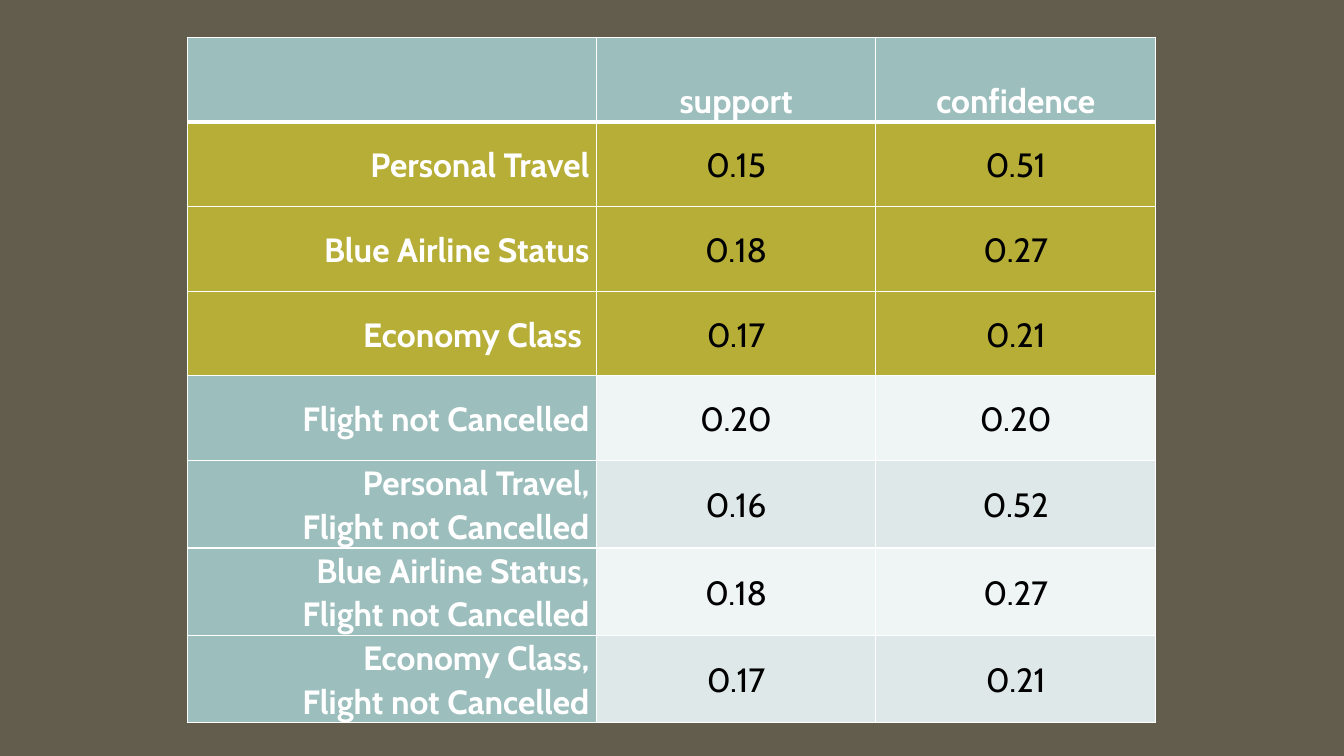
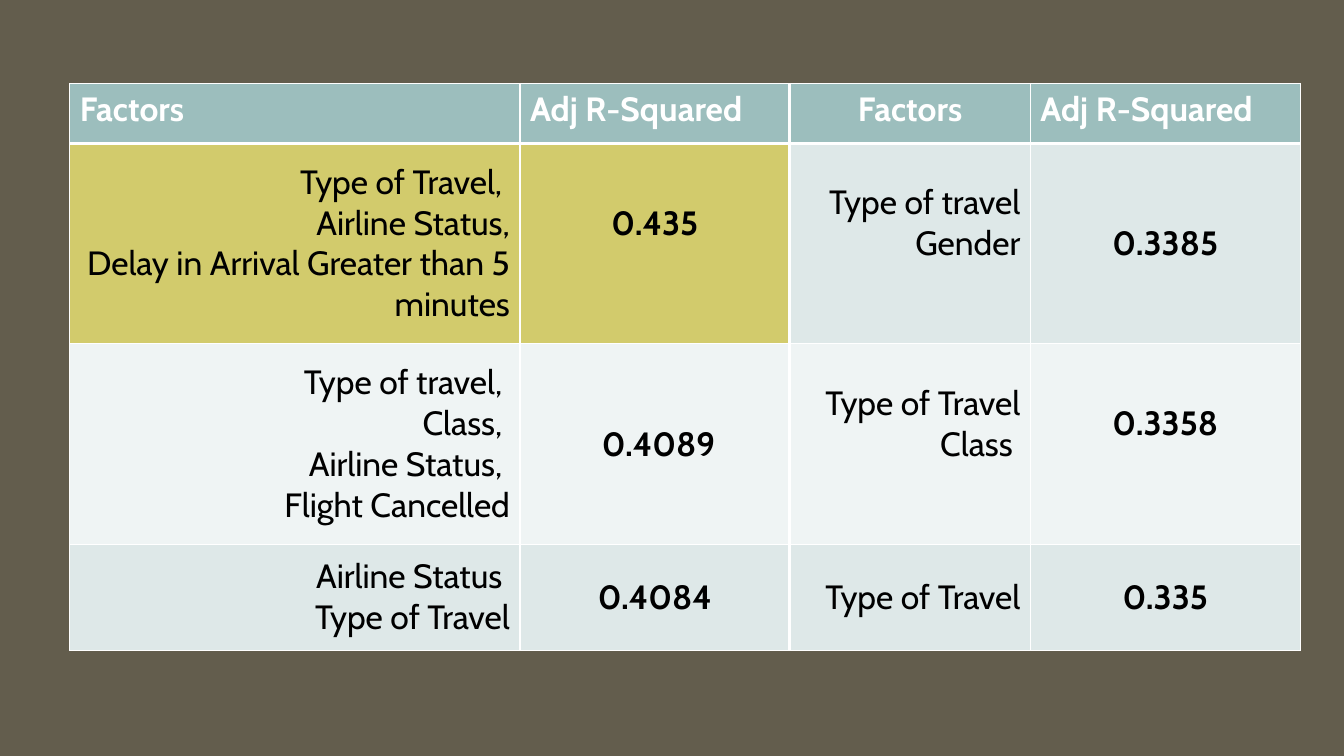
from pptx import Presentation
from pptx.dml.color import RGBColor
from pptx.enum.text import MSO_ANCHOR as Anchor, PP_ALIGN as Align
from pptx.oxml.ns import qn
from pptx.util import Cm, Pt
from lxml import etree

COLORS = {
    "background": "635D4D",
    "header": "9CBEBD",
    "olive": "B7AE38",
    "light_olive": "D2CB6C",
    "band_dark": "DEE8E8",
    "band_light": "EFF4F4",
    "white": "FFFFFF",
    "black": "000000",
}
FONT = {"name": "Cabin", "size": Pt(24)}
BORDER_SIDES = {"left": "a:lnL", "right": "a:lnR", "top": "a:lnT", "bottom": "a:lnB"}
THIN = 1
LINE_HEIGHT = 1.02

RULES_HEADER = ["", "support", "confidence"]
RULES = [
    ("Personal Travel", "0.15", "0.51"),
    ("Blue Airline Status", "0.18", "0.27"),
    ("Economy Class ", "0.17", "0.21"),
    ("Flight not Cancelled", "0.20", "0.20"),
    ("Personal Travel,\nFlight not Cancelled", "0.16", "0.52"),
    ("Blue Airline Status,\nFlight not Cancelled", "0.18", "0.27"),
    ("Economy Class,\nFlight not Cancelled", "0.17", "0.21"),
]
HIGHLIGHTED_RULES = 3

MODELS_HEADER = ["Factors", "Adj R-Squared", "Factors", "Adj R-Squared"]
MODELS = [
    ("Type of Travel, \nAirline Status,\nDelay in Arrival Greater than 5 minutes",
     "0.435", "Type of travel\nGender", "0.3385"),
    ("Type of travel, \nClass, \nAirline Status, \nFlight Cancelled",
     " 0.4089", "Type of Travel\nClass ", "0.3358"),
    ("Airline Status \nType of Travel", "0.4084", "Type of Travel", "0.335"),
]
# Cells whose text sits half a line above the middle
RAISED_MODELS = {(1, 1), (1, 2), (2, 2), (2, 3)}


def rgb(color):
    return RGBColor.from_string(COLORS[color])


def set_attributes(target, values):
    for name, value in values.items():
        setattr(target, name, value)


def set_borders(cell, widths):
    """Draw white borders; sides missing from widths are thin."""
    properties = cell._tc.get_or_add_tcPr()
    for position, (side, tag) in enumerate(BORDER_SIDES.items()):
        line = etree.Element(qn(tag), w=str(Pt(widths.get(side, THIN))))
        fill = etree.SubElement(line, qn("a:solidFill"))
        etree.SubElement(fill, qn("a:srgbClr"), val=COLORS["white"])
        properties.insert(position, line)


def format_cell(cell, text, fill, color="black", bold=False, align=Align.CENTER,
                anchor=Anchor.MIDDLE, spacing=None, margins=None, borders=None):
    cell.text_frame.text = text
    set_attributes(cell, {"vertical_anchor": anchor, **(margins or {})})
    cell.fill.solid()
    cell.fill.fore_color.rgb = rgb(fill)
    for paragraph in cell.text_frame.paragraphs:
        set_attributes(paragraph, {"alignment": align, "line_spacing": spacing})
        for run in paragraph.runs:
            set_attributes(run.font, {**FONT, "bold": bold})
            run.font.color.rgb = rgb(color)
    set_borders(cell, borders or {})


def add_grid(slide, box, column_shares, row_shares):
    """Add a plain table that divides the box by the given shares."""
    left, top, width, height = box
    table = slide.shapes.add_table(len(row_shares), len(column_shares),
                                   left, top, width, height).table
    set_attributes(table, {"first_row": False, "horz_banding": False})
    for column, share in zip(table.columns, column_shares):
        column.width = int(width * share / sum(column_shares))
    for row, share in zip(table.rows, row_shares):
        row.height = int(height * share / sum(row_shares))
    return table


def band(row):
    return "band_dark" if row % 2 else "band_light"


def header_borders(row, width):
    return {0: {"bottom": width}, 1: {"top": width}}.get(row, {})


def add_rules_table(slide, box):
    table = add_grid(slide, box, (4.06, 2.77, 2.78), [1] * (len(RULES) + 1))
    margins = {"margin_left": Cm(0.18), "margin_right": Cm(0.18),
               "margin_top": 0, "margin_bottom": 0}
    for r, texts in enumerate([RULES_HEADER, *RULES]):
        for c, text in enumerate(texts):
            is_label = r == 0 or c == 0
            if 1 <= r <= HIGHLIGHTED_RULES:
                fill = "olive"
            else:
                fill = "header" if is_label else band(r)
            format_cell(
                table.cell(r, c), text, fill,
                color="white" if is_label else "black", bold=is_label,
                align=Align.RIGHT if c == 0 else Align.CENTER,
                anchor=Anchor.BOTTOM if r == 0 else Anchor.MIDDLE,
                spacing=1.07, margins=margins, borders=header_borders(r, 3))


def add_models_table(slide, box):
    table = add_grid(slide, box, (4.47, 2.68, 2.39, 2.68), (0.59, 1.99, 1.99, 1.05))
    middle_borders = {1: {"right": 2.25}, 2: {"left": 2.25}}
    for r, texts in enumerate([MODELS_HEADER, *MODELS]):
        for c, text in enumerate(texts):
            borders = {**header_borders(r, 2.25), **middle_borders.get(c, {})}
            cell = table.cell(r, c)
            if r == 0:
                format_cell(cell, text, "header", "white", True,
                            Align.CENTER if c == 2 else Align.LEFT,
                            Anchor.TOP, borders=borders)
                continue
            is_value = c % 2 == 1
            raised = (r, c) in RAISED_MODELS
            format_cell(
                cell, text, "light_olive" if r == 1 and c < 2 else band(r),
                bold=is_value, align=Align.CENTER if is_value else Align.RIGHT,
                margins={"margin_bottom": Cm(0.13 + LINE_HEIGHT * raised)},
                borders=borders)


# The 0.3385 value is centred, while 0.3358 is raised
RAISED_MODELS = RAISED_MODELS - {(1, 3)}


def main():
    presentation = Presentation()
    set_attributes(presentation, {"slide_width": Cm(33.87), "slide_height": Cm(19.05)})
    background = presentation.slide_master.background.fill
    background.solid()
    background.fore_color.rgb = rgb("background")

    blank_layout = presentation.slide_layouts[6]
    pages = [
        (add_rules_table, (Cm(4.72), Cm(0.94), Cm(24.41), Cm(17.07))),
        (add_models_table, (Cm(1.76), Cm(2.11), Cm(31.01), Cm(14.28))),
    ]
    for add_table_to, box in pages:
        add_table_to(presentation.slides.add_slide(blank_layout), box)
    presentation.save("out.pptx")


if __name__ == "__main__":
    main()
